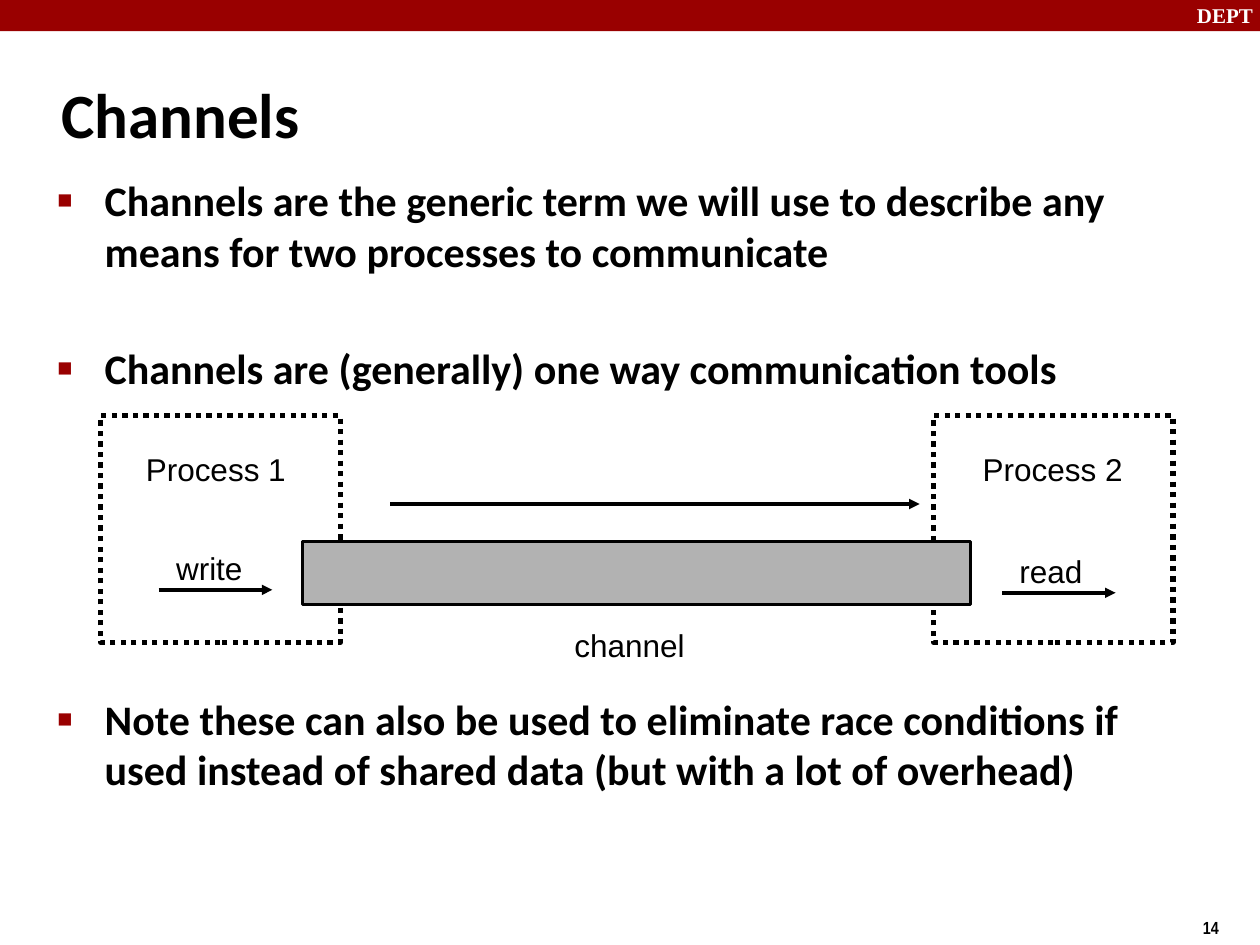
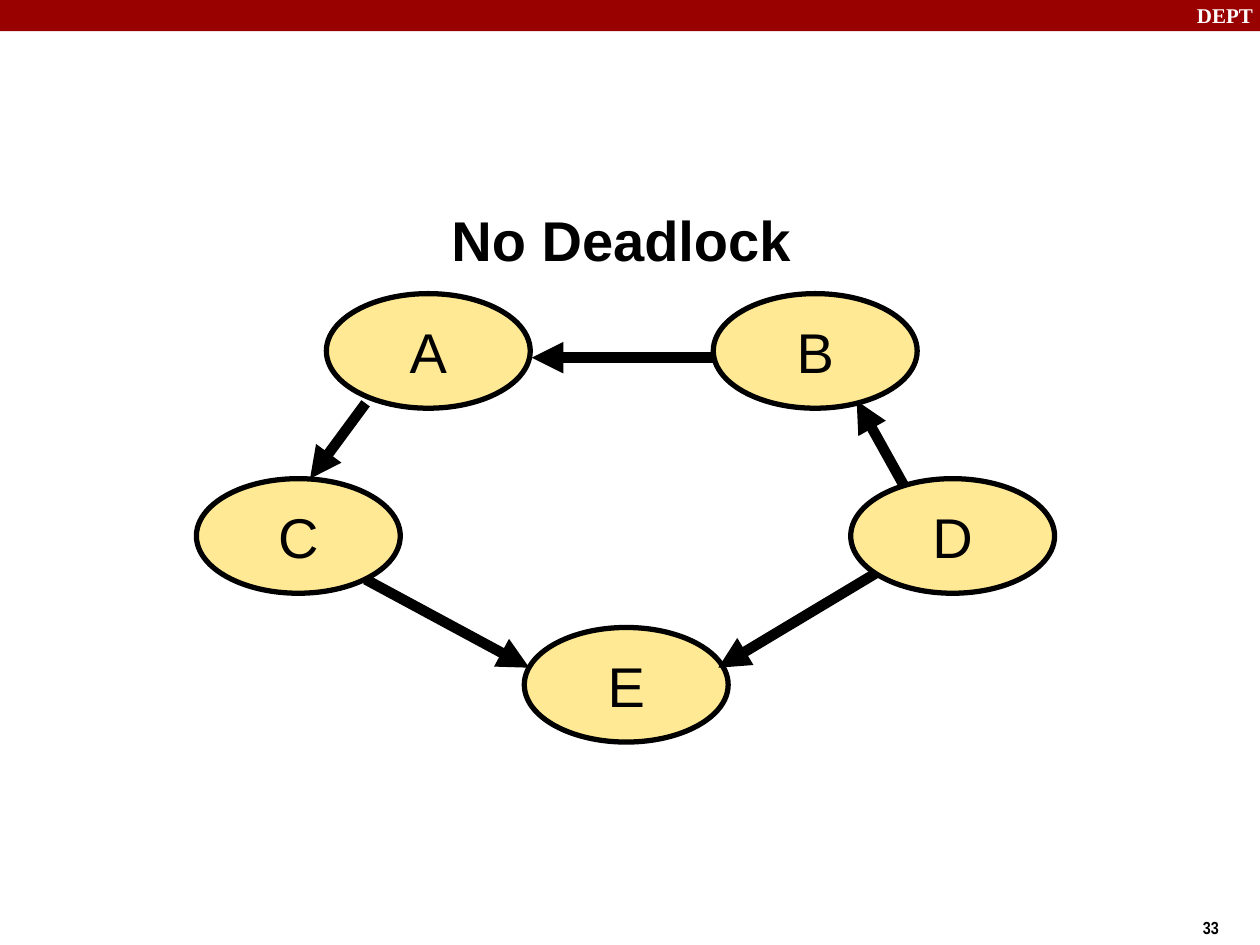
from pptx import Presentation
from pptx import util as u
from pptx.dml.color import RGBColor
from pptx.enum import dml, shapes, text
from pptx.oxml import ns, xmlchemy

RED = RGBColor(0x99, 0x00, 0x00)
BLACK = RGBColor(0x00, 0x00, 0x00)
WHITE = RGBColor(0xFF, 0xFF, 0xFF)
GRAY = RGBColor(0xB2, 0xB2, 0xB2)
YELLOW = RGBColor(0xFF, 0xE9, 0x94)

SLIDE_WIDTH, SLIDE_HEIGHT = 25.4, 19.05
NODE_WIDTH, NODE_HEIGHT = 4.11, 2.31
PROCESS_WIDTH, PROCESS_HEIGHT = 4.83, 4.57

BULLETS = [  # text, space before in points
    ("Channels are the generic term we will use to describe any means "
     "for two processes to communicate", 4.8),
    ("Channels are (generally) one way communication tools", 38),
    ("Note these can also be used to eliminate race conditions if used "
     "instead of shared data (but with a lot of overhead)", 172),
]


def add_xml(parent, tag, **attributes):
    """Append an empty DrawingML element with the given attributes."""
    element = xmlchemy.OxmlElement(tag)
    for name, value in attributes.items():
        element.set(name, str(value))
    parent.append(element)
    return element


def write(paragraph, words, size=18, font="Arial", color=BLACK, bold=False,
          align=text.PP_ALIGN.LEFT):
    paragraph.alignment = align
    run = paragraph.add_run()
    run.text = words
    run.font.size = u.Pt(size)
    run.font.name = font
    run.font.bold = bold
    run.font.color.rgb = color


def add_frame(slide, left, top, width, height):
    """Add a wrapping text box and return its text frame."""
    box = slide.shapes.add_textbox(u.Cm(left), u.Cm(top), u.Cm(width), u.Cm(height))
    box.text_frame.word_wrap = True
    return box.text_frame


def add_text(slide, words, left, top, width, height, middle=False, **style):
    frame = add_frame(slide, left, top, width, height)
    if middle:
        frame.vertical_anchor = text.MSO_ANCHOR.MIDDLE
    write(frame.paragraphs[0], words, **style)


def add_box(slide, left, top, width, height, fill=None, line=None, dash=None,
            kind=shapes.MSO_SHAPE.RECTANGLE):
    """Add a preset shape; line is the outline width in points."""
    shape = slide.shapes.add_shape(kind, u.Cm(left), u.Cm(top), u.Cm(width), u.Cm(height))
    shape.shadow.inherit = False
    if fill is None:
        shape.fill.background()
    else:
        shape.fill.solid()
        shape.fill.fore_color.rgb = fill
    if line is None:
        shape.line.fill.background()
    else:
        shape.line.color.rgb = BLACK
        shape.line.width = u.Pt(line)
        if dash is not None:
            shape.line.dash_style = dash
    return shape


def add_arrow(slide, start, end, width=0):
    points = [u.Cm(value) for value in (*start, *end)]
    arrow = slide.shapes.add_connector(shapes.MSO_CONNECTOR.STRAIGHT, *points)
    arrow.line.color.rgb = BLACK
    arrow.line.width = u.Pt(width)
    properties = arrow._element.spPr
    add_xml(properties.find(ns.qn("a:ln")), "a:tailEnd", type="triangle")
    add_xml(properties, "a:effectLst")


def add_bullets(slide, bullets, left, top, width, height):
    frame = add_frame(slide, left, top, width, height)
    for index, (words, space) in enumerate(bullets):
        paragraph = frame.add_paragraph() if index else frame.paragraphs[0]
        paragraph.space_before = u.Pt(space)
        write(paragraph, words, size=24, font="Calibri", bold=True)
        properties = paragraph._p.get_or_add_pPr()
        properties.set("marL", str(u.Cm(0.95)))
        properties.set("indent", str(-u.Cm(0.95)))
        add_xml(add_xml(properties, "a:buClr"), "a:srgbClr", val=RED)
        add_xml(properties, "a:buSzPct", val=60000)
        add_xml(properties, "a:buFont", typeface="Arial")
        add_xml(properties, "a:buChar", char="■")


def add_page(presentation, number):
    """Add a blank slide with the red band, its label and the page number."""
    slide = presentation.slides.add_slide(presentation.slide_layouts[6])
    add_box(slide, 0, 0, SLIDE_WIDTH, 0.63, fill=RED)
    add_text(slide, "DEPT", 23.88, -0.08, 1.7, 0.76, size=12,
             font="Times New Roman", color=WHITE, bold=True)
    add_text(slide, str(number), 24, 18.36, 1.4, 0.74, size=10,
             font="Arial Narrow", bold=True)
    return slide


def add_process(slide, name, action, left, name_left, action_left, action_top):
    """Add a dotted process box with its name and the action on its arrow."""
    add_box(slide, left, 8.38, PROCESS_WIDTH, PROCESS_HEIGHT, line=3,
            dash=dml.MSO_LINE.ROUND_DOT)
    add_text(slide, name, name_left, 8.94, 3.56, 0.97)
    add_text(slide, action, action_left, action_top, 2.13, 0.97)
    arrow_left, arrow_top = action_left - 0.1, action_top + 0.95
    add_arrow(slide, (arrow_left, arrow_top), (arrow_left + 2.29, arrow_top))


def add_node(slide, name, left, top):
    node = add_box(slide, left, top, NODE_WIDTH, NODE_HEIGHT, fill=YELLOW, line=3,
                   kind=shapes.MSO_SHAPE.OVAL)
    frame = node.text_frame
    frame.word_wrap = False
    frame.vertical_anchor = text.MSO_ANCHOR.MIDDLE
    write(frame.paragraphs[0], name, size=32, align=text.PP_ALIGN.CENTER)


def add_channels_slide(presentation):
    slide = add_page(presentation, 14)
    add_text(slide, "Channels", 0.99, 1.22, 21.08, 2.11, middle=True,
             size=36, font="Calibri", bold=True)
    add_bullets(slide, BULLETS, 0.91, 3.4, 22.78, 7.16)
    add_process(slide, "Process 1", "write", 2.03, 2.69, 3.3, 10.94)
    add_process(slide, "Process 2", "read", 18.82, 19.56, 20.3, 11)
    add_box(slide, 6.1, 10.92, 13.46, 1.27, fill=GRAY, line=1.5)
    add_text(slide, "channel", 11.33, 12.5, 3.05, 0.97)
    add_arrow(slide, (7.87, 10.16), (18.54, 10.16))


def add_deadlock_slide(presentation):
    slide = add_page(presentation, 33)
    add_text(slide, "No Deadlock", 8.84, 4.01, 7.37, 1.52, size=32, bold=True,
             align=text.PP_ALIGN.CENTER)
    upper, middle, lower = 5.92, 9.65, 12.65
    layers = [  # the nodes of a layer, then the arrows that lie over them
        ([("A", 6.58, upper), ("B", 14.38, upper), ("E", 10.57, lower)],
         [((14.38, 7.21), (10.72, 7.21)),
          ((7.37, 8.13), (6.25, 9.65)),
          ((18.29, 9.91), (17.27, 8.08))]),
        ([("C", 3.96, middle), ("D", 17.15, middle)],
         [((17.65, 11.56), (14.48, 13.46)),
          ((7.37, 11.68), (10.67, 13.46))]),
    ]
    for nodes, arrows in layers:
        for node in nodes:
            add_node(slide, *node)
        for start, end in arrows:
            add_arrow(slide, start, end, width=6)


def main():
    presentation = Presentation()
    presentation.slide_width = u.Cm(SLIDE_WIDTH)
    presentation.slide_height = u.Cm(SLIDE_HEIGHT)
    add_channels_slide(presentation)
    add_deadlock_slide(presentation)
    presentation.save("out.pptx")


if __name__ == "__main__":
    main()
